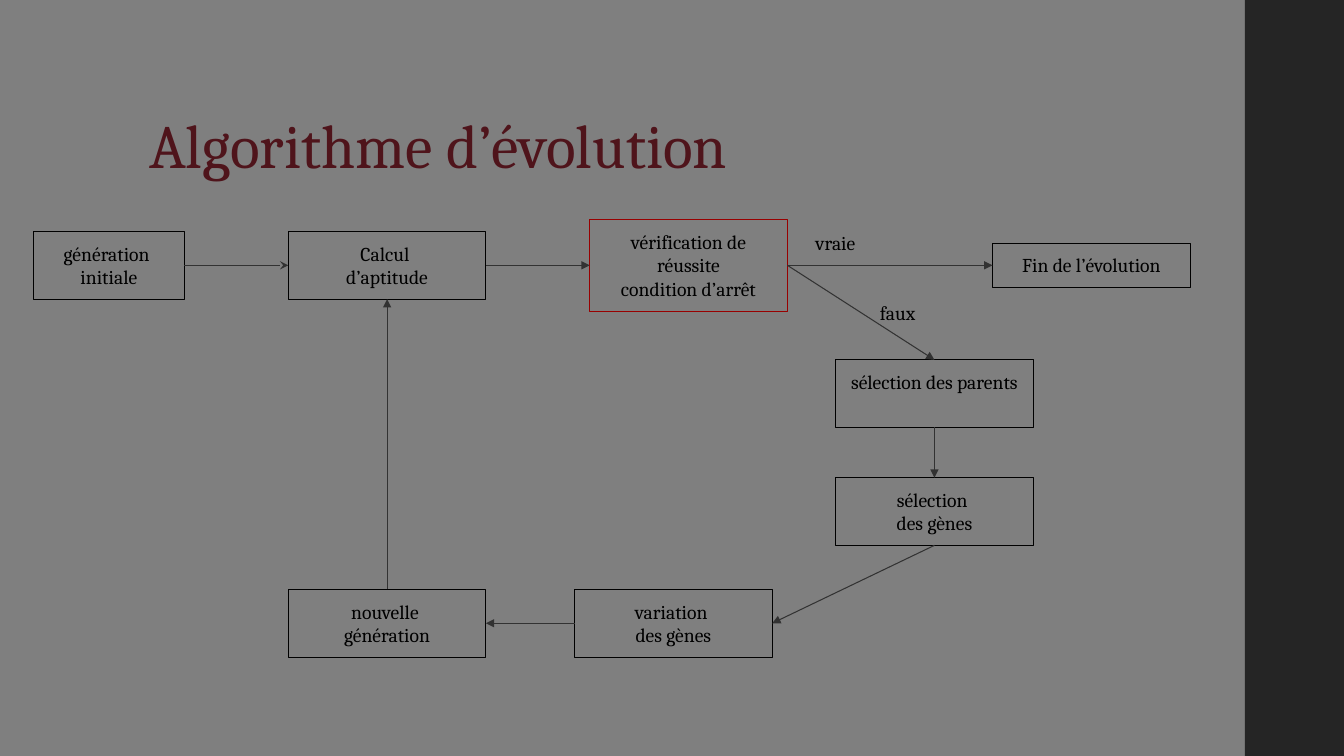
from dataclasses import dataclass

from pptx import Presentation
from pptx.dml.color import RGBColor
from pptx.enum import shapes, text
from pptx.oxml.ns import qn
from pptx.util import Pt
from lxml import etree


@dataclass(frozen=True)
class Theme:
    font: str = "Cambria"
    title_size: int = 44
    body_size: int = 14
    background: str = "7F7F7F"
    sidebar: str = "252525"
    title: str = "4F141B"
    ink: str = "000000"
    alert: str = "980000"
    arrow: str = "323232"
    line_width: float = 0.75


THEME = Theme()
TOP, LEFT, BOTTOM, RIGHT = range(4)  # connection sites of a rectangle
STEP_WIDTH, STEP_HEIGHT = 141.2, 48.3
ROW_MIDDLE, RETURN_MIDDLE = 189.5, 445.2
FITNESS_X, PARENTS_X = 205.9, 596.9

# name: (lines, left, middle, width, height, line colour)
STEPS = {
    "initial": (["génération ", "initiale"], 23.8, ROW_MIDDLE, 108, STEP_HEIGHT, THEME.ink),
    "fitness": (["Calcul ", "d’aptitude"], FITNESS_X, ROW_MIDDLE, STEP_WIDTH, STEP_HEIGHT, THEME.ink),
    "check": (["vérification de réussite", "condition d’arrêt"],
              421.2, ROW_MIDDLE, STEP_WIDTH, 65.5, THEME.alert),
    "end": (["Fin de l’évolution"], 709, ROW_MIDDLE, STEP_WIDTH, 31.7, THEME.ink),
    "parents": (["sélection des parents"], PARENTS_X, 281.2, STEP_WIDTH, STEP_HEIGHT, THEME.ink),
    "genes": (["sélection ", "des gènes"], PARENTS_X, 365.4, STEP_WIDTH, STEP_HEIGHT, THEME.ink),
    "variation": (["variation ", "des gènes"], 410.4, RETURN_MIDDLE, STEP_WIDTH, STEP_HEIGHT, THEME.ink),
    "offspring": (["nouvelle ", "génération"], FITNESS_X, RETURN_MIDDLE, STEP_WIDTH, STEP_HEIGHT, THEME.ink),
}

# start, site, finish, site, arrowhead
ARROWS = [
    ("initial", RIGHT, "fitness", LEFT, "stealth"),
    ("fitness", RIGHT, "check", LEFT, "triangle"),
    ("check", RIGHT, "end", LEFT, "triangle"),
    ("check", RIGHT, "parents", TOP, "triangle"),
    ("parents", BOTTOM, "genes", TOP, "triangle"),
    ("genes", BOTTOM, "variation", RIGHT, "triangle"),
    ("variation", LEFT, "offspring", RIGHT, "triangle"),
    ("offspring", TOP, "fitness", BOTTOM, "triangle"),
]


def color(value):
    return RGBColor.from_string(value)


def write(box, lines, *, size=THEME.body_size, ink=THEME.ink, align=text.PP_ALIGN.LEFT,
          anchor=text.MSO_ANCHOR.TOP, margins=(7.2, 7.2), spacing=None):
    frame = box.text_frame
    frame.word_wrap = True
    frame.vertical_anchor = anchor
    frame.margin_left = frame.margin_right = Pt(margins[0])
    frame.margin_top = frame.margin_bottom = Pt(margins[1])
    for index, line in enumerate(lines):
        para = frame.add_paragraph() if index else frame.paragraphs[0]
        para.alignment = align
        para.line_spacing = spacing
        span = para.add_run()
        span.text = line
        span.font.name = THEME.font
        span.font.size = Pt(size)
        span.font.color.rgb = color(ink)


def add_label(page, lines, left, top, width, height, **style):
    box = page.shapes.add_textbox(Pt(left), Pt(top), Pt(width), Pt(height))
    write(box, lines, **style)


def add_rectangle(page, left, top, width, height, fill=None, line=None):
    box = page.shapes.add_shape(shapes.MSO_SHAPE.RECTANGLE,
                                Pt(left), Pt(top), Pt(width), Pt(height))
    box.shadow.inherit = False
    if fill:
        box.fill.solid()
        box.fill.fore_color.rgb = color(fill)
    else:
        box.fill.background()
    if line:
        box.line.color.rgb = color(line)
        box.line.width = Pt(THEME.line_width)
    else:
        box.line.fill.background()
    return box


def add_step(page, lines, left, middle, width, height, line):
    box = add_rectangle(page, left, middle - height / 2, width, height, line=line)
    write(box, lines, align=text.PP_ALIGN.CENTER)
    return box


def add_arrow(page, start, start_site, finish, finish_site, head):
    arrow = page.shapes.add_connector(shapes.MSO_CONNECTOR.STRAIGHT, 0, 0, 0, 0)
    arrow.begin_connect(start, start_site)
    arrow.end_connect(finish, finish_site)
    arrow.line.color.rgb = color(THEME.arrow)
    arrow.line.width = Pt(THEME.line_width)
    etree.SubElement(arrow.line._get_or_add_ln(), qn("a:tailEnd"), type=head)
    etree.SubElement(arrow._element.spPr, qn("a:effectLst"))


def main():
    deck = Presentation()
    deck.slide_width, deck.slide_height = Pt(960), Pt(540)
    page = deck.slides.add_slide(deck.slide_layouts[6])

    # Background, sidebar and title
    page.background.fill.solid()
    page.background.fill.fore_color.rgb = color(THEME.background)
    add_rectangle(page, 889.2, 0, 72, 540, fill=THEME.sidebar)
    add_label(page, ["Algorithme d’évolution"], 99.4, 28.8, 763.2, 104.4,
              size=THEME.title_size, ink=THEME.title, anchor=text.MSO_ANCHOR.BOTTOM,
              margins=(7.2, 3.6), spacing=0.9)

    # Steps and the arrows between them
    steps = {name: add_step(page, *step) for name, step in STEPS.items()}
    for start, start_site, finish, finish_site, head in ARROWS:
        add_arrow(page, steps[start], start_site, steps[finish], finish_site, head)

    # Outcomes of the check
    add_label(page, ["vraie"], 575.3, 157.7, 54, 31.7)
    add_label(page, ["faux"], 621.4, 207.4, 54, 31.7)

    deck.save("out.pptx")


if __name__ == "__main__":
    main()
